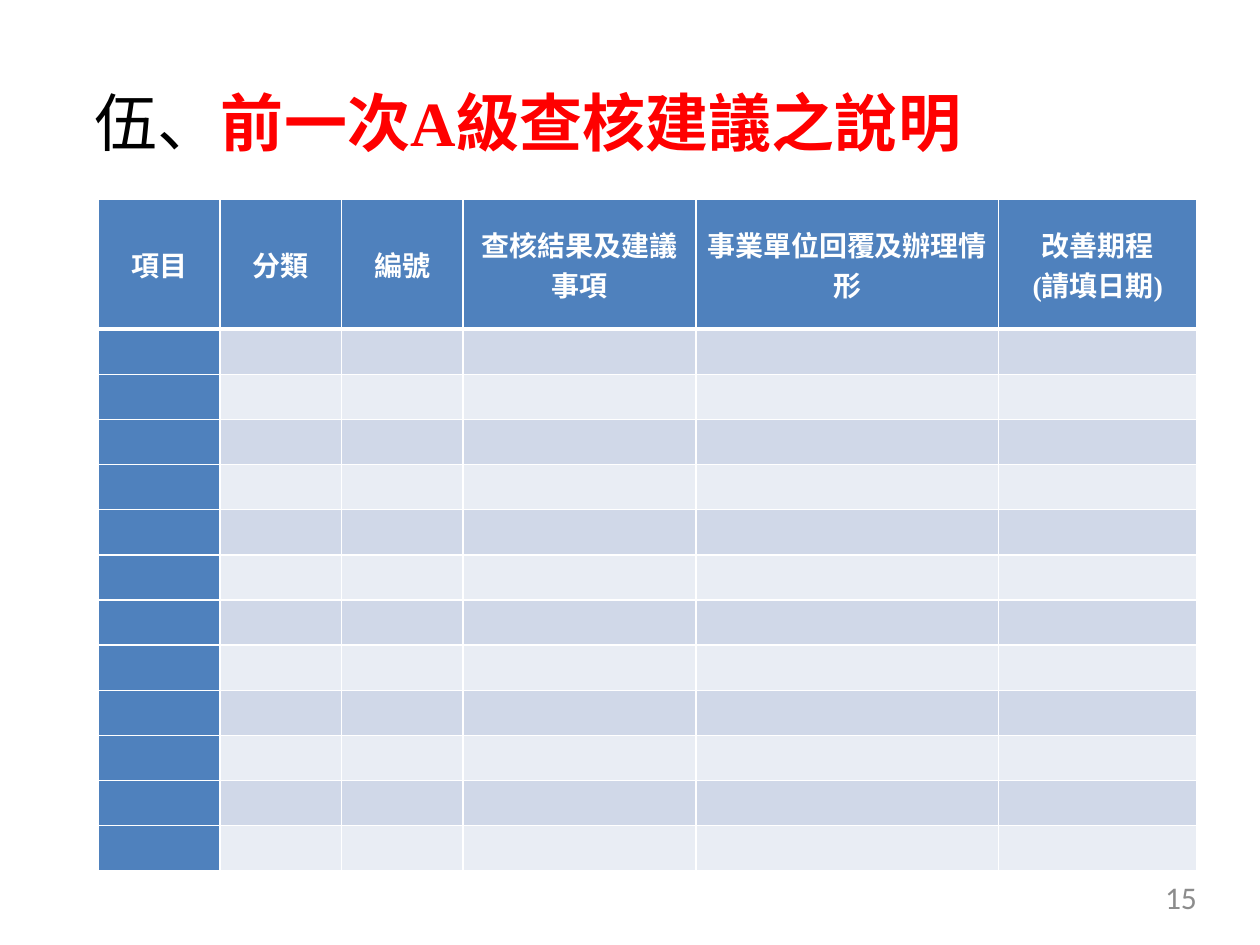
from dataclasses import dataclass

from lxml import etree
from pptx import Presentation
from pptx.dml.color import RGBColor
from pptx.enum.text import MSO_ANCHOR, MSO_AUTO_SIZE, PP_ALIGN
from pptx.oxml.ns import qn
from pptx.util import Pt

MIDDLE, TOP = MSO_ANCHOR.MIDDLE, MSO_ANCHOR.TOP
LEFT, CENTER, RIGHT = PP_ALIGN.LEFT, PP_ALIGN.CENTER, PP_ALIGN.RIGHT
GROW = MSO_AUTO_SIZE.SHAPE_TO_FIT_TEXT

BLACK = RGBColor(0x00, 0x00, 0x00)
RED = RGBColor(0xFF, 0x00, 0x00)
WHITE = RGBColor(0xFF, 0xFF, 0xFF)
GRAY = RGBColor(0x8C, 0x8C, 0x8C)
BLUE = RGBColor(0x4F, 0x81, 0xBD)
BANDS = (RGBColor(0xD0, 0xD8, 0xE8), RGBColor(0xE9, 0xED, 0xF4))

SERIF, SANS, CJK = "Times New Roman", "Calibri", "Noto Sans CJK SC"

BODY_ROWS = 12
HEADER_HEIGHT, ROW_HEIGHT = 74.2, 25.8


@dataclass(frozen=True)
class Span:
    text: str
    size: float
    color: RGBColor
    bold: bool = False
    latin: str = CJK
    spacing: int = 0


@dataclass(frozen=True)
class Column:
    width: float
    heading: tuple[str, ...]


TITLE = (
    Span("伍、", 36, BLACK, spacing=10),
    Span("前一次", 36, RED, True, spacing=10),
    Span("A", 36, RED, True, SERIF, 10),
    Span("級查核建議之說明", 36, RED, True, spacing=10),
)

COLUMNS = (
    Column(69.4, ("項目",)),
    Column(69.4, ("分類",)),
    Column(69.4, ("編號",)),
    Column(133.2, ("查核結果及建議事項",)),
    Column(172.8, ("事業單位回覆及辦理情形",)),
    Column(113.4, ("改善期程", "(請填日期)")),
)


def add_span(para, item: Span) -> None:
    span = para.add_run()
    span.text = item.text
    span.font.size = Pt(item.size)
    span.font.bold = item.bold
    span.font.name = item.latin
    span.font.color.rgb = item.color
    properties = span.font._element
    etree.SubElement(properties, qn("a:ea"), typeface=CJK)
    if item.spacing:
        properties.set("spc", str(item.spacing))


def fill_box(box, spans: tuple[Span, ...], alignment: PP_ALIGN) -> None:
    frame = box.text_frame
    frame.margin_left = frame.margin_right = Pt(0)
    frame.margin_top = frame.margin_bottom = Pt(0)
    frame.word_wrap = True
    frame.auto_size = GROW
    frame.vertical_anchor = TOP
    para = frame.paragraphs[0]
    para.alignment = alignment
    for item in spans:
        add_span(para, item)


def style_cell(cell, fill: RGBColor, bottom: float) -> None:
    cell.margin_left = cell.margin_right = Pt(5)
    cell.margin_top = cell.margin_bottom = Pt(0)
    cell.vertical_anchor = MIDDLE
    properties = cell._tc.get_or_add_tcPr()
    for side, width in (("L", 1), ("R", 1), ("T", 1), ("B", bottom)):
        line = etree.SubElement(properties, qn(f"a:ln{side}"), w=str(Pt(width)))
        solid = etree.SubElement(line, qn("a:solidFill"))
        etree.SubElement(solid, qn("a:srgbClr"), val=str(WHITE))
    cell.fill.solid()
    cell.fill.fore_color.rgb = fill


def add_review_table(page) -> None:
    width = sum(column.width for column in COLUMNS)
    height = HEADER_HEIGHT + BODY_ROWS * ROW_HEIGHT
    table = page.shapes.add_table(
        BODY_ROWS + 1, len(COLUMNS), Pt(56.4), Pt(113.9), Pt(width), Pt(height)
    ).table
    table.first_col = True
    for index, row in enumerate(table.rows):
        row.height = Pt(ROW_HEIGHT if index else HEADER_HEIGHT)
    for index, column in enumerate(COLUMNS):
        table.columns[index].width = Pt(column.width)
        header = table.cell(0, index)
        style_cell(header, BLUE, 3)
        for number, text in enumerate(column.heading):
            frame = header.text_frame
            para = frame.add_paragraph() if number else frame.paragraphs[0]
            para.alignment = CENTER
            add_span(para, Span(text, 16, WHITE, True, SERIF))
        for row in range(1, BODY_ROWS + 1):
            fill = BANDS[(row - 1) % 2] if index else BLUE
            style_cell(table.cell(row, index), fill, 1)


def main() -> None:
    deck = Presentation()
    deck.slide_width, deck.slide_height = Pt(720), Pt(540)
    page = deck.slides.add_slide(deck.slide_layouts[5])

    title = page.shapes.title
    title.left, title.top = Pt(54), Pt(48)
    title.width, title.height = Pt(630), Pt(44)
    fill_box(title, TITLE, LEFT)

    add_review_table(page)

    number = page.shapes.add_textbox(Pt(518.4), Pt(502), Pt(165.6), Pt(27.4))
    fill_box(number, (Span("15", 18, GRAY, latin=SANS),), RIGHT)

    deck.save("out.pptx")


if __name__ == "__main__":
    main()
